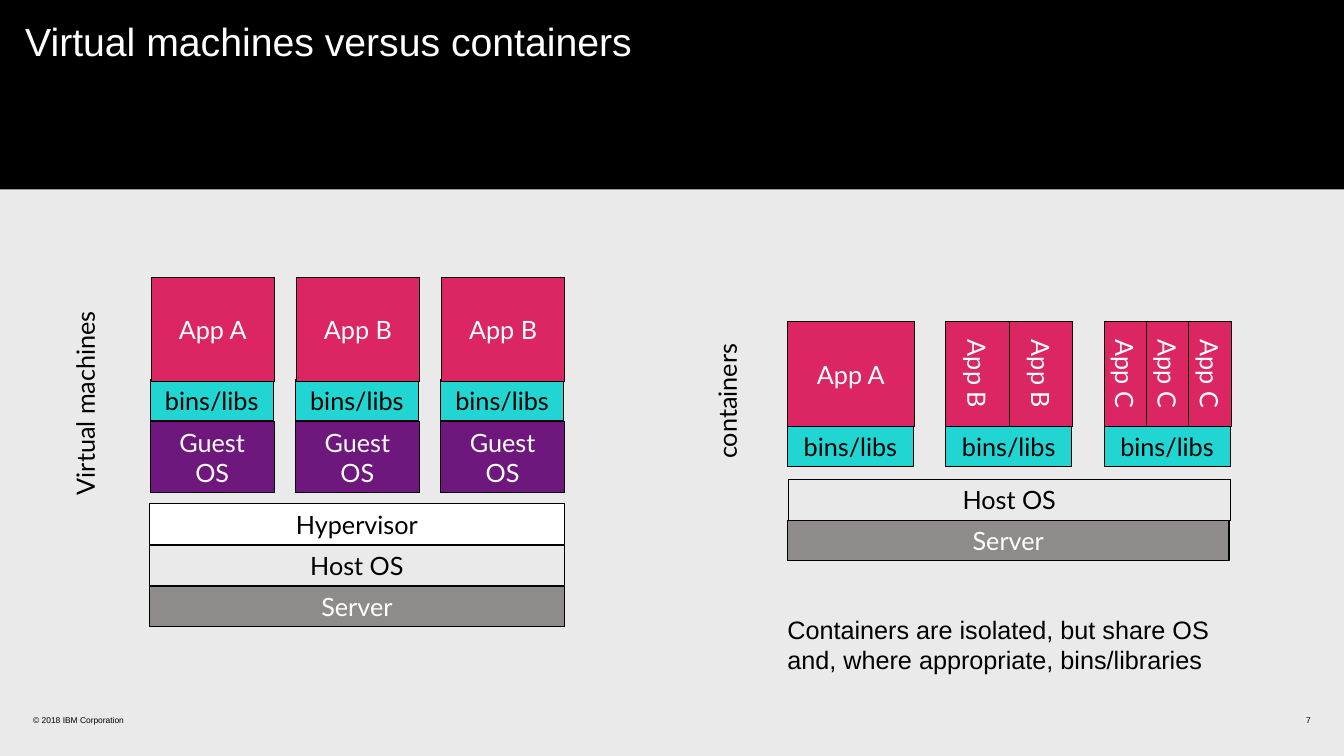
from dataclasses import dataclass

from pptx import Presentation
from pptx import util as u
from pptx.dml.color import RGBColor
from pptx.enum import shapes, text

BLACK = RGBColor(0x00, 0x00, 0x00)
WHITE = RGBColor(0xFF, 0xFF, 0xFF)
PALE = RGBColor(0xEA, 0xEA, 0xEA)
GREY = RGBColor(0x8F, 0x8B, 0x8B)
PINK = RGBColor(0xDB, 0x26, 0x63)
TEAL = RGBColor(0x20, 0xD5, 0xD2)
PURPLE = RGBColor(0x6E, 0x17, 0x7D)


@dataclass
class Box:
    """A bordered block; its place is given as seen, after any turn."""
    label: str
    x: float
    y: float
    w: float
    h: float
    fill: RGBColor
    ink: RGBColor = WHITE
    turn: int = 0


@dataclass
class Note:
    """Plain text; its place is given as seen, after any turn."""
    label: str
    x: float
    y: float
    w: float
    h: float
    size: int = 18
    font: str = "Arial"
    align: text.PP_ALIGN = text.PP_ALIGN.LEFT
    anchor: text.MSO_ANCHOR = text.MSO_ANCHOR.MIDDLE
    turn: int = 0


def place(item: Box | Note) -> tuple[u.Length, ...]:
    """Return left, top, width and height before the turn."""
    w, h = (item.h, item.w) if item.turn else (item.w, item.h)
    left = item.x + (item.w - w) / 2
    top = item.y + (item.h - h) / 2
    return tuple(u.Inches(n) for n in (left, top, w, h))


def write(frame, label: str, size: int, font: str, ink: RGBColor,
          align: text.PP_ALIGN, anchor: text.MSO_ANCHOR) -> None:
    frame.text = label
    frame.word_wrap = True
    frame.vertical_anchor = anchor
    para = frame.paragraphs[0]
    para.alignment = align
    run = para.runs[0].font
    run.size, run.name = u.Pt(size), font
    run.color.rgb = ink


def inset(frame, left: float, top: float, right: float, base: float) -> None:
    frame.margin_left, frame.margin_top = u.Inches(left), u.Inches(top)
    frame.margin_right, frame.margin_bottom = u.Inches(right), u.Inches(base)


def draw_box(slide, box: Box) -> None:
    shape = slide.shapes.add_shape(shapes.MSO_SHAPE.RECTANGLE, *place(box))
    shape.rotation = box.turn
    shape.shadow.inherit = False
    shape.fill.solid()
    shape.fill.fore_color.rgb = box.fill
    shape.line.color.rgb = BLACK
    shape.line.width = u.Pt(0.75)
    write(shape.text_frame, box.label, 18, "Lato", box.ink,
          text.PP_ALIGN.CENTER, text.MSO_ANCHOR.MIDDLE)


def draw_note(slide, note: Note) -> None:
    shape = slide.shapes.add_textbox(*place(note))
    shape.rotation = note.turn
    if not note.turn:
        inset(shape.text_frame, 0, 0, 0, 0)
    write(shape.text_frame, note.label, note.size, note.font, BLACK,
          note.align, note.anchor)


def draw_title(slide, label: str) -> None:
    band = slide.shapes.add_shape(shapes.MSO_SHAPE.RECTANGLE, 0, 0,
                                  u.Inches(13.33), u.Inches(1.88))
    band.shadow.inherit = False
    band.fill.solid()
    band.fill.fore_color.rgb = BLACK
    band.line.fill.background()
    inset(band.text_frame, 0.25, 0.22, 0.25, 0.25)
    write(band.text_frame, label, 28, "Arial", WHITE,
          text.PP_ALIGN.LEFT, text.MSO_ANCHOR.TOP)
    band.text_frame.paragraphs[0].line_spacing = 0.9


def machines() -> list[Box]:
    """Three guests on a hypervisor."""
    boxes = [
        Box("Server", 1.48, 5.82, 4.12, 0.4, GREY),
        Box("Host OS", 1.48, 5.41, 4.12, 0.4, PALE, BLACK),
        Box("Hypervisor", 1.48, 5, 4.12, 0.4, WHITE, BLACK),
    ]
    for i, app in enumerate(("App A", "App B", "App B")):
        x = 1.49 + 1.44 * i
        boxes += [
            Box("bins/libs", x, 3.77, 1.22, 0.4, TEAL, BLACK),
            Box(app, x + 0.01, 2.75, 1.22, 1.04, PINK),
            Box("Guest OS", x, 4.18, 1.23, 0.71, PURPLE),
        ]
    return boxes


def pods() -> list[Box]:
    """Three library stacks, each shared by one more app than the last."""
    boxes = [
        Box("Server", 7.81, 5.16, 4.38, 0.4, GREY),
        Box("Host OS", 7.82, 4.76, 4.38, 0.4, PALE, BLACK),
    ]
    for i, app in enumerate(("App A", "App B", "App C")):
        x = 7.81 + 1.57 * i
        boxes.append(Box("bins/libs", x, 4.23, 1.25, 0.4, TEAL, BLACK))
        count = i + 1
        wide = 1.26 / count
        boxes += [Box(app, x + wide * k, 3.19, wide, 1.04, PINK,
                      turn=90 if count > 1 else 0) for k in range(count)]
    return boxes


NOTES = [
    Note("7", 10, 7.04, 3, 0.2, 6, align=text.PP_ALIGN.RIGHT),
    Note("© 2018 IBM Corporation", 0.33, 7.04, 9.33, 0.2, 6),
    Note("Containers are isolated, but share OS and, where appropriate, "
         "bins/libraries", 7.81, 6.09, 4.37, 0.73,
         anchor=text.MSO_ANCHOR.TOP),
    Note("Virtual machines", 0.64, 2.91, 0.4, 2.1, font="Lato", turn=270),
    Note("containers", 7.01, 3.25, 0.4, 1.4, font="Lato", turn=270),
]


def main() -> None:
    deck = Presentation()
    deck.slide_width, deck.slide_height = u.Inches(13.33), u.Inches(7.5)
    slide = deck.slides.add_slide(deck.slide_layouts[6])
    slide.background.fill.solid()
    slide.background.fill.fore_color.rgb = PALE

    # Title band
    draw_title(slide, "Virtual machines versus containers")
    # Both stacks
    for box in machines() + pods():
        draw_box(slide, box)
    # Side labels, remark and footer
    for note in NOTES:
        draw_note(slide, note)

    deck.save("out.pptx")


if __name__ == "__main__":
    main()
